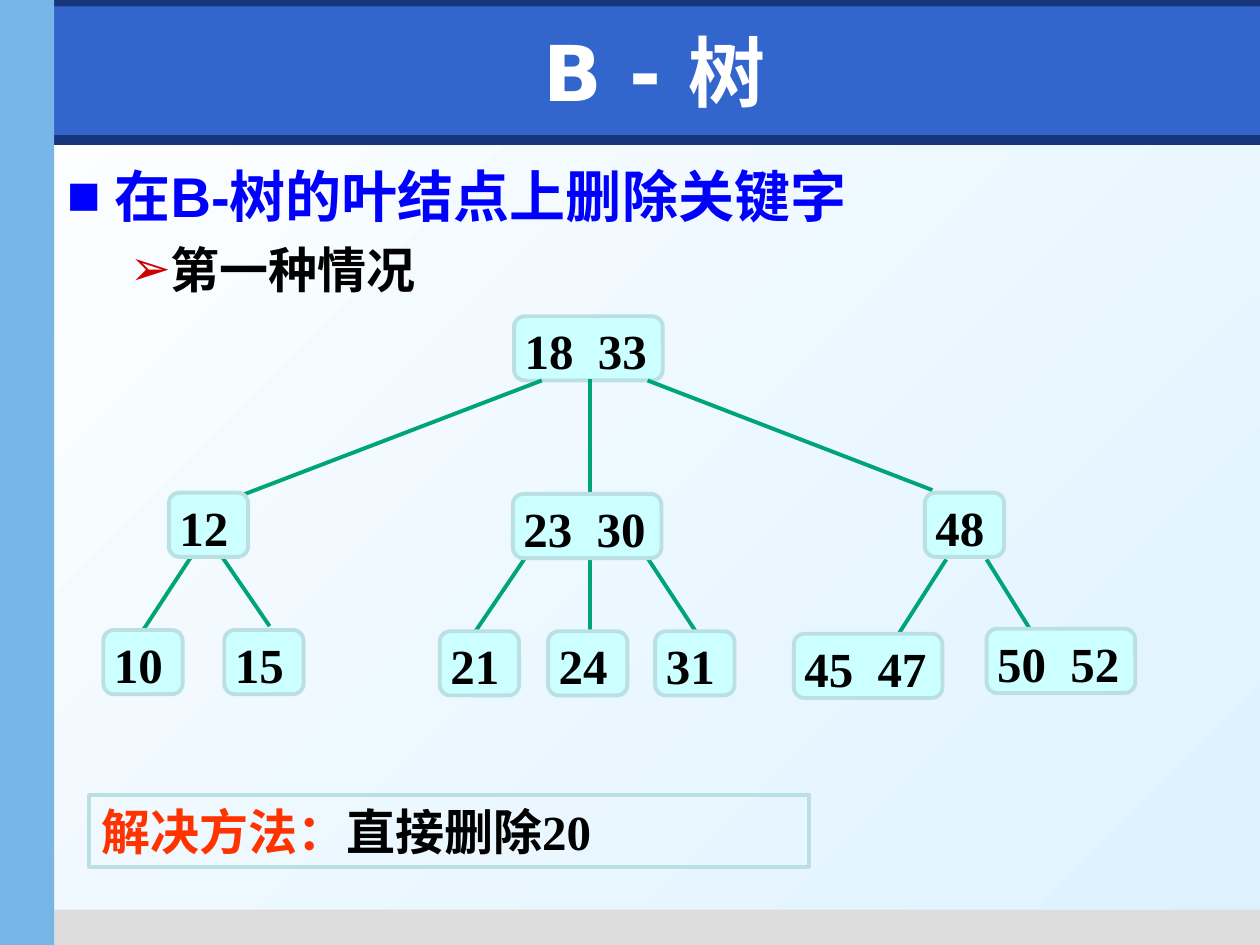
from lxml import etree
from pptx import Presentation
from pptx.dml.color import RGBColor
from pptx.enum import shapes, text
from pptx.oxml.ns import qn
from pptx.util import Inches, Pt

# Content
TITLE = "B - 树"
OUTLINE = [  # text, level, size, colour, bullet, bullet colour, left margin, hanging
    ("在B-树的叶结点上删除关键字", 0, "head", "blue", "■", "blue", 0.38, 0.38),
    ("第一种情况", 1, "body", "black", "➢", "red", 0.81, 0.31),
]
ROOT = ((18, 33), 4.08, 2.51)
NODES = [  # keys, left, top
    ((12,), 1.34, 3.91), ((23, 30), 4.07, 3.92), ((48,), 7.34, 3.91),
    ((10,), 0.82, 5), ((15,), 1.78, 5),
    ((21,), 3.49, 5.01), ((24,), 4.35, 5.01), ((31,), 5.2, 5.01),
    ((45, 47), 6.3, 5.03), ((50, 52), 7.83, 4.99),
]
EDGES = [  # x and y of the parent end, then of the child end
    (4.3, 3.02, 1.92, 3.93), (4.68, 3.01, 4.68, 3.91), (5.14, 3.02, 7.4, 3.89),
    (1.51, 4.43, 1.13, 5.01), (1.77, 4.43, 2.14, 4.97),
    (4.16, 4.44, 3.76, 5.03), (4.68, 4.44, 4.68, 5.05), (5.14, 4.43, 5.56, 5.07),
    (7.51, 4.44, 7.12, 5.05), (7.83, 4.44, 8.21, 5.05),
]
ANSWER = [("解决方法：", "orange"), ("直接删除20", "black")]
BARS = [  # left, top, width, height, colour
    (0.04, 1.07, 9.96, 0.08, "navy"), (0.35, 7.22, 9.65, 0.28, "grey"),
    (0, 0, 10, 0.21, "navy"), (0.43, 0.05, 9.57, 1.02, "band"),
    (0, 0, 0.43, 7.5, "side"),
]

THEME = {
    "color": {
        "white": "FFFFFF", "sky": "DDF2FF", "navy": "17347D", "grey": "DDDDDD",
        "band": "3366CC", "side": "77B7E7", "blue": "0000FF", "red": "CC0000",
        "black": "000000", "orange": "FF3300", "node": "CCFFFF",
        "border": "BBE0E3", "edge": "00A479",
    },
    "size": {"title": 44, "head": 32, "body": 28},
    "font": {"title": "DejaVu Sans", "outline": "Arial", "tree": "Times New Roman"},
    "line": 2.25,
}
NODE_WIDTH = {1: 0.63, 2: 1.18}
NODE_HEIGHT = 0.51
KEY_STEP = 0.58


def rgb(name):
    return RGBColor.from_string(THEME["color"][name])


def add_text(p, content, *, font="tree", size="body", color="black", align=None):
    r = p.add_run()
    r.text = content
    r.font.name = THEME["font"][font]
    r.font.size = Pt(THEME["size"][size])
    r.font.bold = True
    r.font.color.rgb = rgb(color)
    if align is not None:
        p.alignment = align


def add_box(s, kind, place, fill=None, line=None):
    sp = s.shapes.add_shape(kind, *map(Inches, place))
    sp.shadow.inherit = False
    if fill:
        sp.fill.solid()
        sp.fill.fore_color.rgb = rgb(fill)
    else:
        sp.fill.background()
    if line:
        sp.line.color.rgb = rgb(line)
        sp.line.width = Pt(THEME["line"])
    else:
        sp.line.fill.background()
    return sp


def add_node(s, keys, left, top):
    place = (left, top, NODE_WIDTH[len(keys)], NODE_HEIGHT)
    sp = add_box(s, shapes.MSO_SHAPE.ROUNDED_RECTANGLE, place, "node", "border")
    sp.adjustments[0] = 0.167
    tf = sp.text_frame
    tf.word_wrap = True
    tf.vertical_anchor = text.MSO_ANCHOR.TOP
    tf.margin_left, tf.margin_right = Inches(0.06), Inches(0.02)
    tf.margin_top = tf.margin_bottom = Inches(0.01)
    p = tf.paragraphs[0]
    if len(keys) > 1:
        tabs = etree.SubElement(p._p.get_or_add_pPr(), qn("a:tabLst"))
        etree.SubElement(tabs, qn("a:tab"), pos=str(Inches(KEY_STEP)), algn="l")
    add_text(p, "\t".join(map(str, keys)), align=text.PP_ALIGN.JUSTIFY)


def add_edge(s, x1, y1, x2, y2):
    cn = s.shapes.add_connector(shapes.MSO_CONNECTOR.STRAIGHT,
                                *map(Inches, (x1, y1, x2, y2)))
    cn.line.color.rgb = rgb("edge")
    cn.line.width = Pt(THEME["line"])
    etree.SubElement(cn._element.spPr, qn("a:effectLst"))


def set_bullet(p, char, color, margin, hanging):
    pPr = p._p.get_or_add_pPr()
    pPr.set("marL", str(Inches(margin)))
    pPr.set("indent", str(-Inches(hanging)))
    clr = etree.SubElement(pPr, qn("a:buClr"))
    etree.SubElement(clr, qn("a:srgbClr"), val=THEME["color"][color])
    etree.SubElement(pPr, qn("a:buChar"), char=char)


def place_holder(s, sp, left, top, width, height):
    sp.left, sp.top, sp.width, sp.height = map(Inches, (left, top, width, height))
    s.shapes._spTree.append(sp._element)  # in front of the bars
    sp.text_frame.auto_size = text.MSO_AUTO_SIZE.NONE
    return sp.text_frame


def main():
    prs = Presentation()
    prs.slide_width, prs.slide_height = Inches(10), Inches(7.5)
    s = prs.slides.add_slide(prs.slide_layouts[1])
    title, body = s.placeholders

    # Background and bars
    bg = s.background.fill
    bg.gradient()
    bg.gradient_angle = 315
    for stop, name in zip(bg.gradient_stops, ("white", "sky")):
        stop.color.rgb = rgb(name)
    for *place, color in BARS:
        add_box(s, shapes.MSO_SHAPE.RECTANGLE, place, color)

    # Title and outline
    tf = place_holder(s, title, 0.59, 0.13, 9.21, 0.87)
    tf.vertical_anchor = text.MSO_ANCHOR.MIDDLE
    add_text(tf.paragraphs[0], TITLE, font="title", size="title", color="white",
             align=text.PP_ALIGN.CENTER)

    tf = place_holder(s, body, 0.43, 1.23, 9.37, 5.9)
    for i, (content, level, size, color, *bullet) in enumerate(OUTLINE):
        p = tf.add_paragraph() if i else tf.paragraphs[0]
        p.level = level
        set_bullet(p, *bullet)
        p.space_before = Pt(6 if i else 0)
        add_text(p, content, font="outline", size=size, color=color)

    # Tree
    add_node(s, *ROOT)
    for edge in EDGES:
        add_edge(s, *edge)
    for node in NODES:
        add_node(s, *node)

    # Answer
    sp = add_box(s, shapes.MSO_SHAPE.RECTANGLE, (0.71, 6.31, 5.71, 0.57), line="border")
    tf = sp.text_frame
    tf.word_wrap = True
    tf.vertical_anchor = text.MSO_ANCHOR.MIDDLE
    for content, color in ANSWER:
        add_text(tf.paragraphs[0], content, color=color, align=text.PP_ALIGN.LEFT)

    prs.save("out.pptx")


if __name__ == "__main__":
    main()
